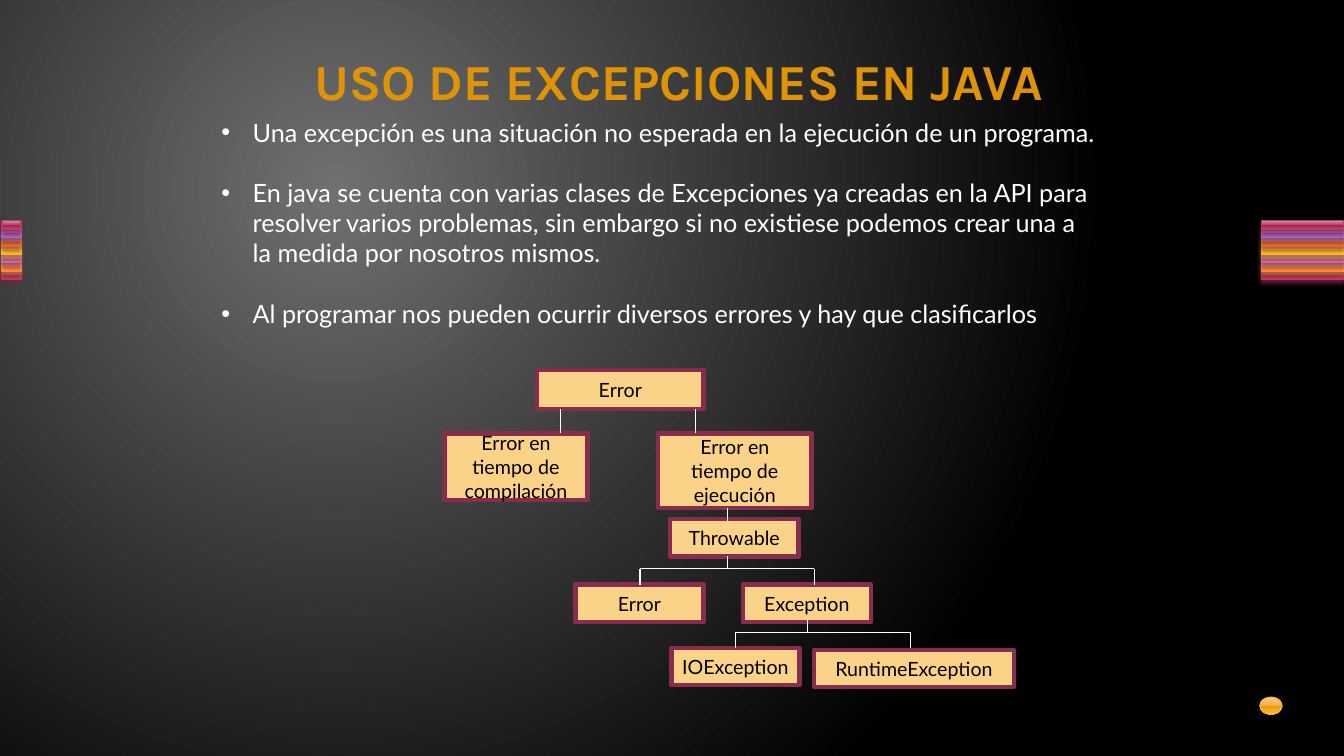
from lxml import etree
from pptx import Presentation
from pptx import util as u
from pptx.dml.color import RGBColor
from pptx.enum import shapes, text
from pptx.oxml.ns import qn

Cm, Pt = u.Cm, u.Pt
HUES = {
    "gold": "DF9307", "white": "FFFFFF", "black": "000000",
    "sand": "FBD388", "wine": "882D4D", "gray": "707070",
}
STOPS = (0, 49, 49, 92, 100)
# Glossy bands: five gradient stops, outline, shadow
GLOSS = {
    "rose": ("CE94A2 B34869 A61749 C13764 CA5D7C", "B83D68", "722640"),
    "plum": ("C6A2D0 A666B4 8F3EA1 AD5DBF BA76CA", "AC66BB", "6A3F73"),
    "rust": ("E7A493 D66B42 CC4809 E9642C F07B55", "DE6C36", "894321"),
    "amber": ("FBCC93 EFAE43 E59807 FFB432 FFBE5F", "F9B639", "9A7023"),
    "pink": ("DDA4C1 C66B9D B34181 D361A0 DC79AE", "CF6DA4", "804365"),
    "orange": ("FBB494 F08745 E5670B FF8736 FF9961", "FA8D3D", "9A5726"),
}
BANDS = ("rose", "plum", "rust", "amber", "pink", "orange", "rose")
POINTS = (
    "Una excepción es una situación no esperada en la ejecución de un programa.",
    "En java se cuenta con varias clases de Excepciones ya creadas en la API para "
    "resolver varios problemas, sin embargo si no existiese podemos crear una a "
    "la medida por nosotros mismos.",
    "Al programar nos pueden ocurrir diversos errores y hay que clasificarlos",
)
# Label, left, top, width, height, in cm from the corner of the tree
NODES = (
    ("Error", 2.34, 0, 4.19, 0.99),
    ("Error en tiempo de compilación", 0, 1.6, 3.61, 1.68),
    ("Error en tiempo de ejecución", 5.39, 1.6, 3.86, 1.88),
    ("Throwable", 5.69, 3.76, 3.23, 0.94),
    ("Error", 3.3, 5.41, 3.23, 0.94),
    ("Exception", 7.52, 5.41, 3.23, 0.94),
    ("IOException", 5.72, 7.01, 3.23, 0.94),
    ("RuntimeException", 9.32, 7.06, 5.03, 0.94),
)
# x, top, bottom
DROPS = ((2.92, 0.99, 1.6), (6.33, 0.99, 1.6), (7.14, 3.48, 3.81))
# Stem x, stem top, bar y, left x, right x, bottom
FORKS = ((7.14, 4.7, 5.01, 4.93, 9.32, 5.41),
         (9.15, 6.3, 6.61, 7.34, 11.74, 7.01))


def rgb(hue):
    return RGBColor.from_string(HUES.get(hue, hue))


def node(top, tag, **attrs):
    return etree.SubElement(top, qn(tag), {k: str(v) for k, v in attrs.items()})


def blend(fill, root, stops):
    """Make a gradient fill and return it, ready for its direction."""
    fill.gradient()
    grad = root.find(".//" + qn("a:gradFill"))
    grad.clear()
    grad.set("rotWithShape", "1")
    row = node(grad, "a:gsLst")
    for pos, hue in stops:
        node(node(row, "a:gs", pos=pos * 1000), "a:srgbClr", val=hue)
    return grad


def write(frame, words, size=14, font="Lato", hue="black", bold=False,
          align=text.PP_ALIGN.CENTER, anchor=text.MSO_ANCHOR.MIDDLE,
          gap=0, bullet=False):
    frame.word_wrap = True
    frame.auto_size = text.MSO_AUTO_SIZE.NONE
    frame.vertical_anchor = anchor
    for i, line in enumerate(words):
        para = frame.add_paragraph() if i else frame.paragraphs[0]
        para.alignment = align
        para.space_before = Pt(gap if i else 0)
        run = para.add_run()
        run.text = line
        run.font.size, run.font.name, run.font.bold = Pt(size), font, bold
        run.font.color.rgb = rgb(hue)
        if bullet:
            props = para._p.get_or_add_pPr()
            props.set("marL", str(Cm(0.79)))
            props.set("indent", str(-Cm(0.79)))
            node(props, "a:buFont", typeface="Arial")
            node(props, "a:buChar", char="•")


def gloss(slide, kind, name, box, shade=True):
    hues, edge, dark = GLOSS[name]
    part = slide.shapes.add_shape(kind, *map(Cm, box))
    part.shadow.inherit = False
    grad = blend(part.fill, part.element.spPr, zip(STOPS, hues.split()))
    node(grad, "a:lin", ang=5400000, scaled=0)
    part.line.color.rgb = rgb(edge)
    part.line.width = Pt(0.9)
    if shade:
        glow = node(part.element.spPr.find(qn("a:effectLst")), "a:outerShdw",
                    blurRad=Pt(3.1), dist=Pt(2), dir=5400000, rotWithShape=0)
        node(node(glow, "a:srgbClr", val=dark), "a:alpha", val=83000)


def stripes(slide, x, y, w, h):
    step = h / len(BANDS)
    for i, name in reversed(list(enumerate(BANDS))):
        gloss(slide, shapes.MSO_SHAPE.RECTANGLE, name, (x, y + i * step, w, step))


def backdrop(slide):
    grad = blend(slide.background.fill, slide.element,
                 ((0, HUES["gray"]), (100, HUES["black"])))
    node(node(grad, "a:path", path="circle"), "a:fillToRect",
         l=50000, t=50000, r=100000, b=100000)


def heading(slide, x, y, w, h):
    title = slide.shapes.title
    title.left, title.top, title.width, title.height = map(Cm, (x, y, w, h))
    write(title.text_frame, ["USO DE EXCEPCIONES EN JAVA"], size=36,
          font="Karla", hue="gold", bold=True)


def bullets(slide, x, y, w, h):
    box = slide.shapes.add_textbox(*map(Cm, (x, y, w, h)))
    write(box.text_frame, POINTS, size=18, hue="white", gap=21.6, bullet=True,
          align=text.PP_ALIGN.LEFT, anchor=text.MSO_ANCHOR.TOP)


def tree(slide, x, y):
    def link(x1, y1, x2, y2):
        wire = slide.shapes.add_connector(
            shapes.MSO_CONNECTOR.STRAIGHT,
            Cm(x + x1), Cm(y + y1), Cm(x + x2), Cm(y + y2))
        wire.line.color.rgb = rgb("white")
        wire.line.width = Pt(0.9)
        node(wire.element.spPr, "a:effectLst")

    for label, left, top, w, h in NODES:
        box = slide.shapes.add_shape(shapes.MSO_SHAPE.RECTANGLE,
                                     Cm(x + left), Cm(y + top), Cm(w), Cm(h))
        box.shadow.inherit = False
        box.fill.solid()
        box.fill.fore_color.rgb = rgb("sand")
        box.line.color.rgb = rgb("wine")
        box.line.width = Pt(3.15)
        write(box.text_frame, [label])
    for mid, top, low in DROPS:
        link(mid, top, mid, low)
    for mid, top, bar, left, right, low in FORKS:
        link(mid, top, mid, bar)
        link(left, bar, right, bar)
        for side in (left, right):
            link(side, bar, side, low)


def main():
    deck = Presentation()
    deck.slide_width, deck.slide_height = Cm(33.87), Cm(19.05)
    slide = deck.slides.add_slide(deck.slide_layouts[5])
    backdrop(slide)
    # Side ornaments and page dot
    stripes(slide, 0.05, 5.56, 0.48, 1.49)
    stripes(slide, 31.8, 5.56, 2.06, 1.49)
    gloss(slide, shapes.MSO_SHAPE.OVAL, "amber", (31.75, 17.57, 0.56, 0.43), shade=False)
    # Content
    heading(slide, 6.73, 0.91, 20.75, 2.21)
    bullets(slide, 5.33, 2.82, 22.61, 6.2)
    tree(slide, 11.2, 9.32)
    deck.save("out.pptx")


if __name__ == "__main__":
    main()
